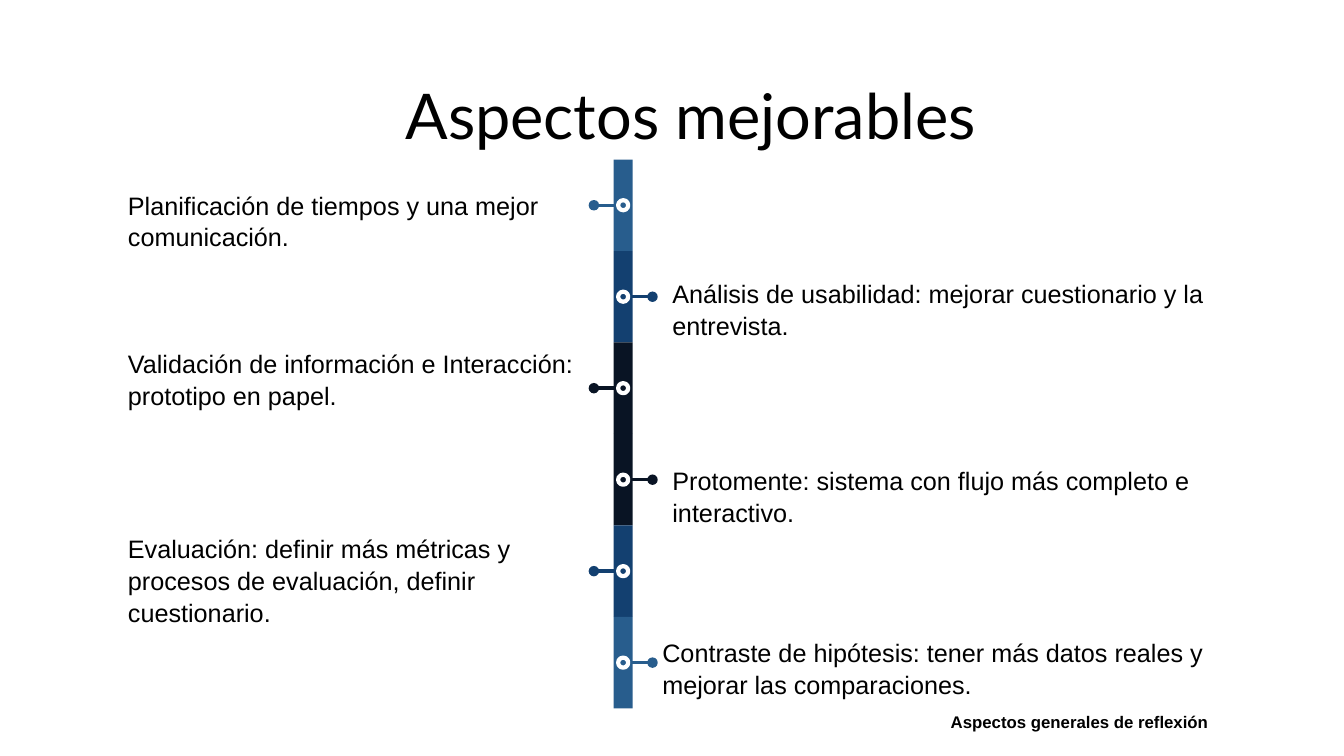
from dataclasses import dataclass

from lxml import etree
from pptx import Presentation
from pptx.dml.color import RGBColor
from pptx.enum.shapes import MSO_CONNECTOR, MSO_SHAPE
from pptx.enum.text import PP_ALIGN
from pptx.oxml.ns import qn
from pptx.shapes.autoshape import Shape
from pptx.slide import Slide
from pptx.util import Inches, Length, Pt

RECTANGLE, OVAL = MSO_SHAPE.RECTANGLE, MSO_SHAPE.OVAL
STRAIGHT = MSO_CONNECTOR.STRAIGHT
LEFT, CENTER, JUSTIFY = PP_ALIGN.LEFT, PP_ALIGN.CENTER, PP_ALIGN.JUSTIFY
SLIDE_WIDTH, SLIDE_HEIGHT = Inches(13.33), Inches(7.5)


@dataclass(frozen=True)
class Theme:
    text: str = "000000"
    ring: str = "FFFFFF"
    light: str = "285D8D"
    medium: str = "134070"
    dark: str = "091424"
    title_font: str = "Lato"
    body_font: str = "Arial"
    title_size: float = 45
    body_size: float = 18
    footer_size: float = 12
    arm_weight: float = 2.5
    ring_weight: float = 3


@dataclass(frozen=True)
class Box:
    """Position and size as percentages of the slide."""
    left: float
    top: float
    width: float
    height: float


@dataclass(frozen=True)
class TextStyle:
    font: str
    size: float
    alignment: PP_ALIGN = LEFT
    bold: bool = False
    line_spacing: float = 1.0


@dataclass(frozen=True)
class Milestone:
    text: str
    box: Box
    color: str
    side: int  # -1 points left, 1 points right


THEME = Theme()
TITLE_STYLE = TextStyle(THEME.title_font, THEME.title_size, CENTER)
BODY_STYLE = TextStyle(THEME.body_font, THEME.body_size, line_spacing=1.05)
FOOTER_STYLE = TextStyle(THEME.body_font, THEME.footer_size, JUSTIFY, bold=True)

# Timeline grid: one row per milestone, in percent of the slide
SPINE_CENTER, SPINE_TOP, SPINE_WIDTH = 46.37, 21.1, 1.43
ROW_HEIGHT = 12.1
DOT_WIDTH, DOT_HEIGHT = 0.75, 1.33
ARM_REACH = 2.18
LEFT_COLUMN, RIGHT_COLUMN = 8.78, 49.29
TWO_LINES, THREE_LINES = 9.47, 13.47

MILESTONES = [
    Milestone("Planificación de tiempos y una mejor comunicación.",
              Box(LEFT_COLUMN, 24.27, 40, TWO_LINES), THEME.light, -1),
    Milestone("Análisis de usabilidad: mejorar cuestionario y la entrevista.",
              Box(RIGHT_COLUMN, 36, 49.5, TWO_LINES), THEME.medium, 1),
    Milestone("Validación de información e Interacción: prototipo en papel.",
              Box(LEFT_COLUMN, 45.2, 40, TWO_LINES), THEME.dark, -1),
    Milestone("Protomente: sistema con flujo más completo e interactivo.",
              Box(RIGHT_COLUMN, 60.67, 43.81, TWO_LINES), THEME.dark, 1),
    Milestone("Evaluación: definir más métricas y procesos de evaluación, "
              "definir cuestionario.",
              Box(LEFT_COLUMN, 69.73, 35.41, THREE_LINES), THEME.medium, -1),
    Milestone("Contraste de hipótesis: tener más datos reales y mejorar las "
              "comparaciones.",
              Box(48.54, 83.47, 44.56, TWO_LINES), THEME.light, 1),
]


def across(percent: float) -> Length:
    return Length(round(SLIDE_WIDTH * percent / 100))


def down(percent: float) -> Length:
    return Length(round(SLIDE_HEIGHT * percent / 100))


def place(box: Box) -> tuple[Length, Length, Length, Length]:
    return across(box.left), down(box.top), across(box.width), down(box.height)


def add_text(slide: Slide, text: str, box: Box, style: TextStyle) -> None:
    frame = slide.shapes.add_textbox(*place(box)).text_frame
    frame.word_wrap = True
    paragraph = frame.paragraphs[0]
    paragraph.alignment = style.alignment
    paragraph.line_spacing = style.line_spacing
    run = paragraph.add_run()
    run.text = text
    run.font.name = style.font
    run.font.size = Pt(style.size)
    run.font.bold = style.bold
    run.font.color.rgb = RGBColor.from_string(THEME.text)


def add_filled_shape(slide: Slide, kind: MSO_SHAPE, box: Box, color: str) -> Shape:
    shape = slide.shapes.add_shape(kind, *place(box))
    shape.shadow.inherit = False
    shape.fill.solid()
    shape.fill.fore_color.rgb = RGBColor.from_string(color)
    shape.line.fill.background()
    return shape


def add_arm(slide: Slide, middle: float, side: int, color: str) -> None:
    """Draw a line from an oval tip to the edge of the spine's dot."""
    tip = SPINE_CENTER + side * ARM_REACH
    dot_edge = SPINE_CENTER + side * DOT_WIDTH / 2
    arm = slide.shapes.add_connector(
        STRAIGHT, across(tip), down(middle), across(dot_edge), down(middle))
    arm.line.width = Pt(THEME.arm_weight)
    arm.line.color.rgb = RGBColor.from_string(color)
    properties = arm.line._get_or_add_ln()
    etree.SubElement(properties, qn("a:headEnd"), type="oval")
    etree.SubElement(properties.getparent(), qn("a:effectLst"))


def add_milestone(slide: Slide, row: int, milestone: Milestone) -> None:
    top = SPINE_TOP + row * ROW_HEIGHT
    middle = top + ROW_HEIGHT / 2
    segment = Box(SPINE_CENTER - SPINE_WIDTH / 2, top, SPINE_WIDTH, ROW_HEIGHT)
    dot_box = Box(SPINE_CENTER - DOT_WIDTH / 2, middle - DOT_HEIGHT / 2,
                  DOT_WIDTH, DOT_HEIGHT)
    add_filled_shape(slide, RECTANGLE, segment, milestone.color)
    add_arm(slide, middle, milestone.side, milestone.color)
    dot = add_filled_shape(slide, OVAL, dot_box, milestone.color)
    dot.line.color.rgb = RGBColor.from_string(THEME.ring)
    dot.line.width = Pt(THEME.ring_weight)
    add_text(slide, milestone.text, milestone.box, BODY_STYLE)


def main() -> None:
    presentation = Presentation()
    presentation.slide_width, presentation.slide_height = SLIDE_WIDTH, SLIDE_HEIGHT
    slide = presentation.slides.add_slide(presentation.slide_layouts[6])
    add_text(slide, "Aspectos mejorables",
             Box(LEFT_COLUMN, 9.47, 85.22, 11.47), TITLE_STYLE)
    for row, milestone in enumerate(MILESTONES):
        add_milestone(slide, row, milestone)
    add_text(slide, "Aspectos generales de reflexión",
             Box(70, 93.47, 30, 4), FOOTER_STYLE)
    presentation.save("out.pptx")


if __name__ == "__main__":
    main()
